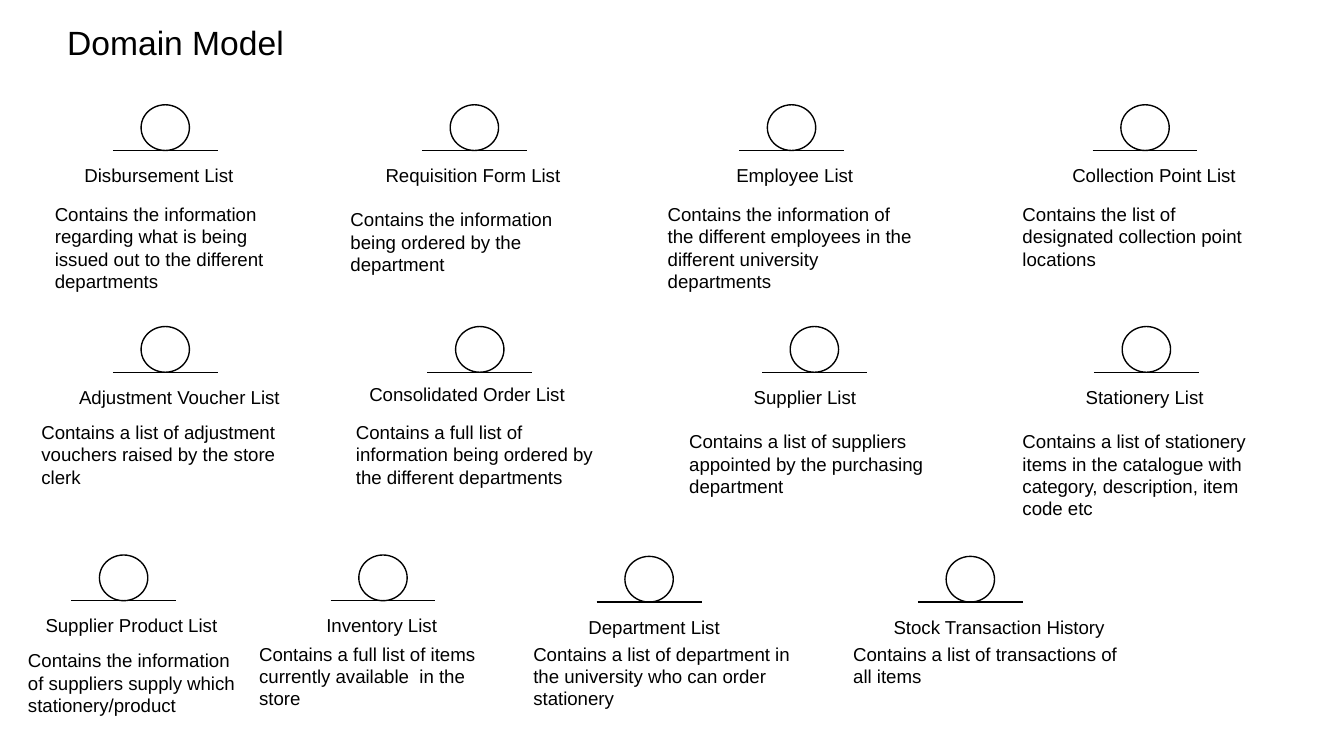
"""Build the Domain Model slide: twelve entity symbols, each with a name and a description."""
from lxml import etree
from pptx import Presentation
from pptx import util as u
from pptx.dml.color import RGBColor
from pptx.enum import shapes, text
from pptx.oxml.ns import qn

PX = 9144
FONT = "Arial"
COLORS = {"ink": "000000", "paper": "FFFFFF"}
CIRCLE_WIDTH, CIRCLE_HEIGHT = 36, 34
BASE_WIDTH, BASE_OVERHANG = 78, 21
LABEL_HEIGHT = 34


def write(box, bounds, words, size):
    box.left, box.top, box.width, box.height = [v * PX for v in bounds]
    frame = box.text_frame
    frame.word_wrap = True
    frame.auto_size = text.MSO_AUTO_SIZE.NONE
    frame.vertical_anchor = text.MSO_ANCHOR.TOP
    frame.margin_left = frame.margin_right = 10 * PX
    frame.margin_top = frame.margin_bottom = 10 * PX
    para = frame.paragraphs[0]
    para.alignment = text.PP_ALIGN.LEFT
    para.line_spacing = 1.0
    para.space_before = u.Pt(0)
    span = para.add_run()
    span.text = words
    span.font.name = FONT
    span.font.size = u.Pt(size)
    span.font.color.rgb = RGBColor.from_string(COLORS["ink"])


def outline(shape):
    shape.line.color.rgb = RGBColor.from_string(COLORS["ink"])
    shape.line.width = u.Pt(0.75)


deck = Presentation()
deck.slide_width = 1000 * PX
deck.slide_height = deck.slide_width * 9 // 16
page = deck.slides.add_slide(deck.slide_layouts[5])
page.background.fill.solid()
page.background.fill.fore_color.rgb = RGBColor.from_string(COLORS["paper"])
write(page.shapes.title, (40, 6, 334, 51), "Domain Model", 18)

entities = [
    (105, 112, "Disbursement List", (53, 112, 139),
     "Contains the information regarding what is being issued out to the different departments",
     (31, 141, 204, 84)),
    (335, 112, "Requisition Form List", (277, 112, 151),
     "Contains the information being ordered by the department", (251, 145, 204, 84)),
    (571, 112, "Employee List", (538, 112, 139),
     "Contains the information of the different employees in the different university departments",
     (487, 141, 204, 84)),
    (834, 112, "Collection Point List", (788, 112, 151),
     "Contains the list of designated collection point locations", (751, 141, 204, 84)),
    (105, 277, "Adjustment Voucher List", (49, 277, 183),
     "Contains a list of adjustment vouchers raised by the store clerk", (21, 303, 204, 84)),
    (339, 277, "Consolidated Order List", (265, 275, 183),
     "Contains a full list of information being ordered by the different departments",
     (255, 303, 204, 84)),
    (588, 277, "Supplier List", (551, 277, 110),
     "Contains a list of suppliers appointed by the purchasing department", (503, 310, 204, 84)),
    (835, 277, "Stationery List", (798, 277, 110),
     "Contains a list of stationery items in the catalogue with category, description, item code etc",
     (751, 310, 204, 84)),
    (74, 447, "Supplier Product List", (24, 447, 151),
     "Contains the information of suppliers supply which stationery/product", (11, 473, 178, 84)),
    (267, 447, "Inventory List", (233, 447, 110),
     "Contains a full list of items currently available  in the store", (183, 468, 204, 84)),
    (465, 448, "Department List", (428, 448, 127),
     "Contains a list of department in the university who can order stationery",
     (387, 468, 223, 79)),
    (704, 448, "Stock Transaction History", (655, 448, 215),
     "Contains a list of transactions of all items", (625, 468, 223, 79)),
]

for x, base_y, name, name_place, description, description_bounds in entities:
    circle = page.shapes.add_shape(
        shapes.MSO_SHAPE.OVAL, x * PX, (base_y - CIRCLE_HEIGHT) * PX,
        CIRCLE_WIDTH * PX, CIRCLE_HEIGHT * PX)
    circle.shadow.inherit = False
    circle.fill.background()
    outline(circle)

    start = x - BASE_OVERHANG
    base = page.shapes.add_connector(
        shapes.MSO_CONNECTOR.STRAIGHT, start * PX, base_y * PX,
        (start + BASE_WIDTH) * PX, base_y * PX)
    outline(base)
    etree.SubElement(base._element.spPr, qn("a:effectLst"))

    write(page.shapes.add_textbox(0, 0, 0, 0), (*name_place, LABEL_HEIGHT), name, 10)
    write(page.shapes.add_textbox(0, 0, 0, 0), description_bounds, description, 10)

deck.save("out.pptx")
